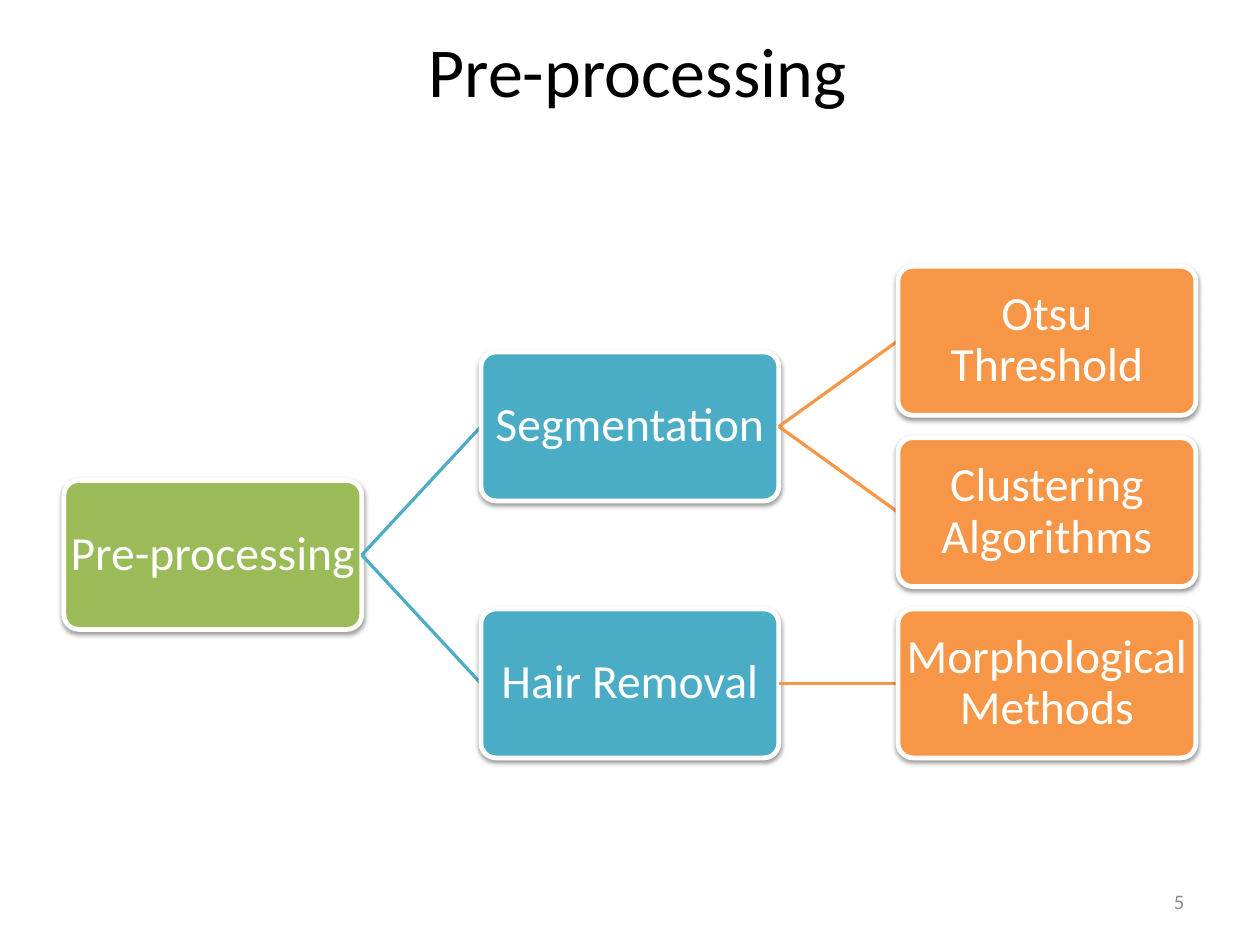
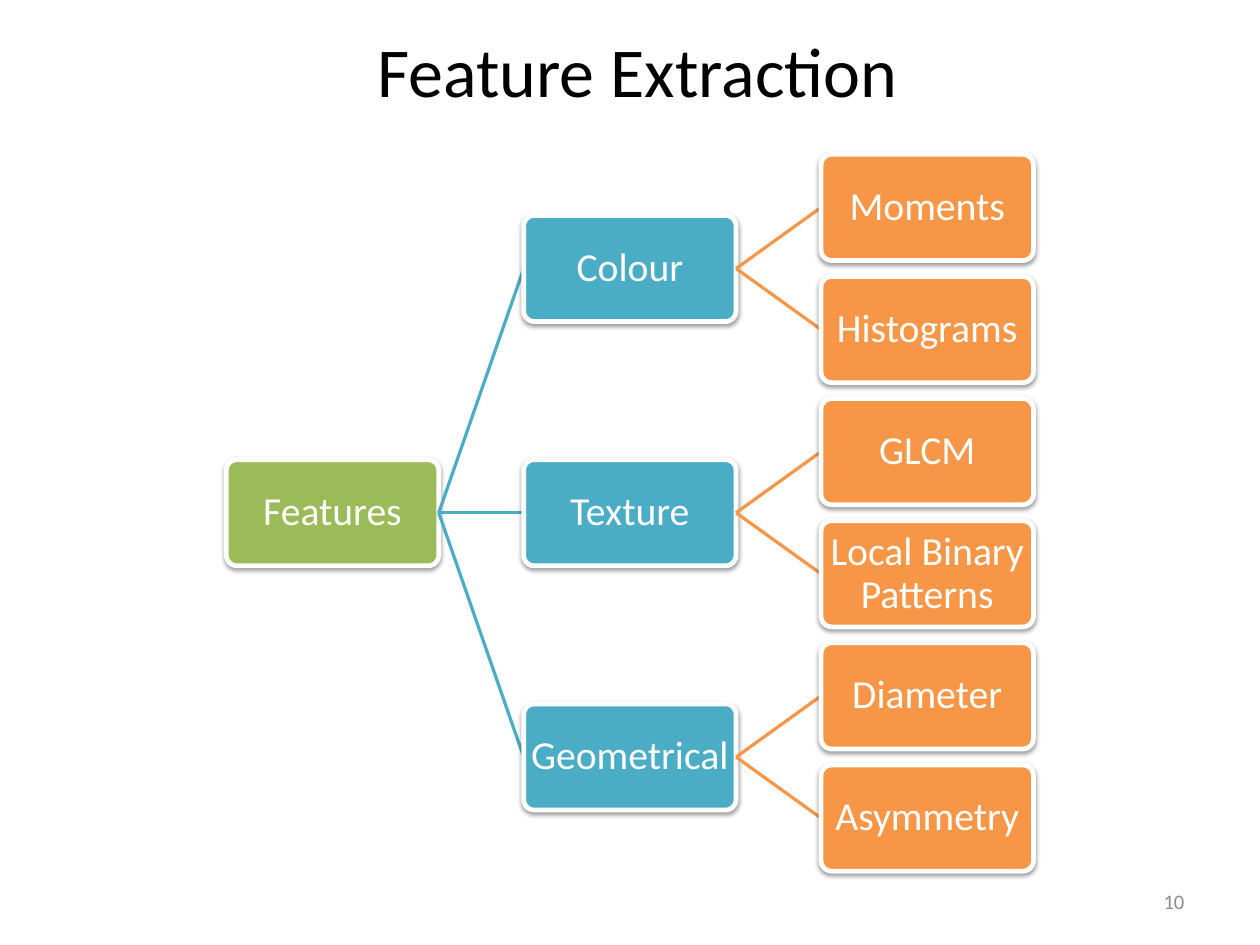
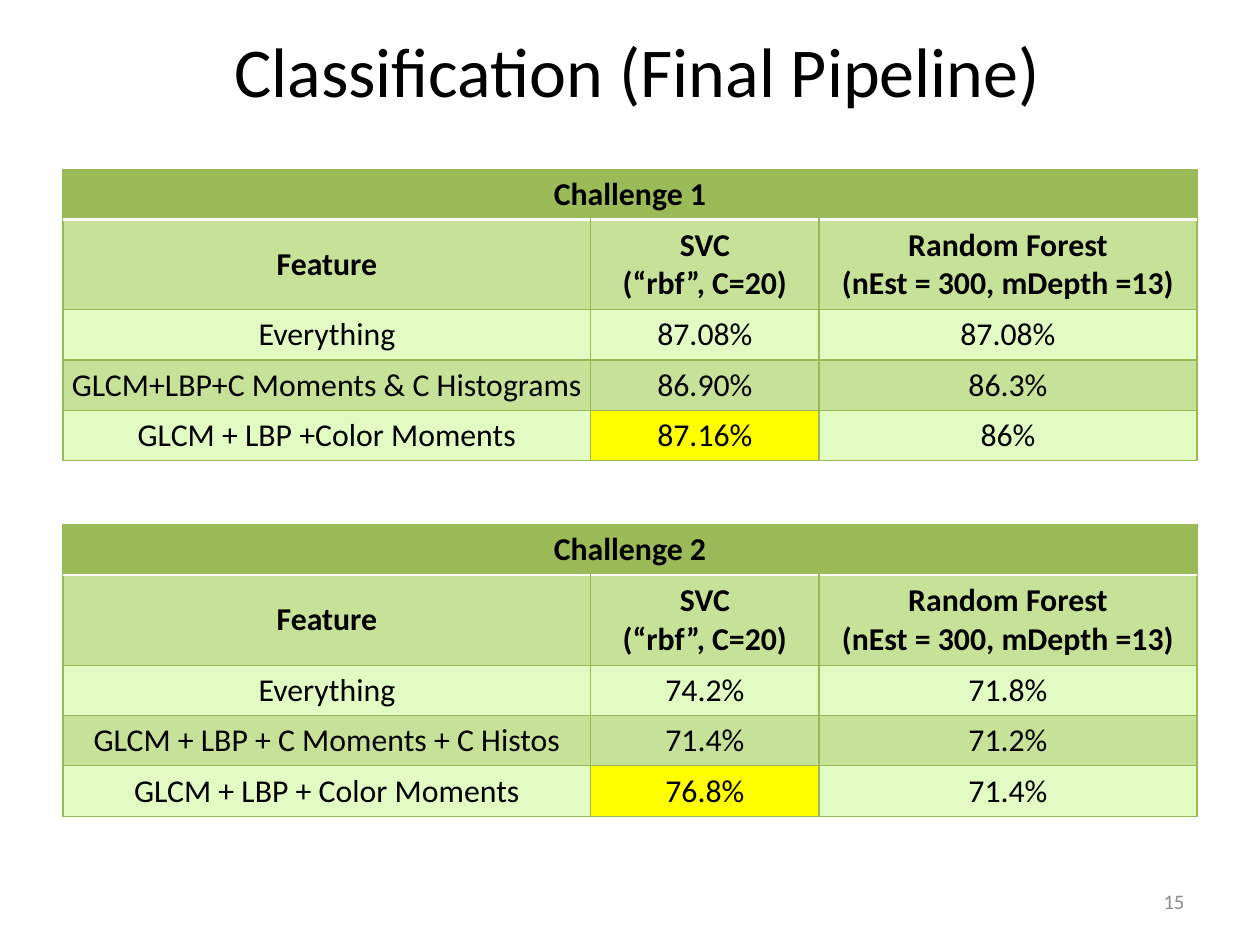
from dataclasses import dataclass
from itertools import count

from lxml import etree
from pptx import Presentation
from pptx.dml.color import RGBColor
from pptx.enum import shapes, text
from pptx.oxml import ns
from pptx.util import Cm, Pt

FONT = "Calibri"
BLACK = RGBColor(0x00, 0x00, 0x00)
WHITE = RGBColor(0xFF, 0xFF, 0xFF)
GREY = RGBColor(0x8C, 0x8C, 0x8C)
GREEN = RGBColor(0x9B, 0xBB, 0x59)
TEAL = RGBColor(0x4B, 0xAC, 0xC6)
ORANGE = RGBColor(0xF7, 0x96, 0x46)
BAND = RGBColor(0xC6, 0xE2, 0x98)
PALE = RGBColor(0xE2, 0xFB, 0xC2)
YELLOW = RGBColor(0xFF, 0xFF, 0x00)
BORDER = RGBColor(0x98, 0xB9, 0x55)
LEVEL_COLORS = (GREEN, TEAL, ORANGE)

COLUMN_WIDTHS = (11.73, 5.07, 8.4)
ROW_HEIGHTS = (1.12, 2, 1.12, 1.12, 1.12)
HEADINGS = ("Feature", "SVC\n(“rbf”, C=20)", "Random Forest\n(nEst = 300, mDepth =13)")


@dataclass
class Node:
    label: str
    children: tuple = ()
    row: float = 0

    def assign_rows(self, leaf_rows):
        for child in self.children:
            child.assign_rows(leaf_rows)
        if self.children:
            self.row = (self.children[0].row + self.children[-1].row) / 2
        else:
            self.row = next(leaf_rows)


def branch(label, *leaves):
    return Node(label, tuple(Node(leaf) for leaf in leaves))


def write(frame, content, size=20, color=BLACK, bold=False,
          align=text.PP_ALIGN.CENTER, spacing=1.0):
    frame.text = content
    for paragraph in frame.paragraphs:
        paragraph.alignment = align
        paragraph.line_spacing = spacing
        font = paragraph.runs[0].font
        font.name, font.size, font.bold = FONT, Pt(size), bold
        font.color.rgb = color


def set_margins(holder, across, down):
    holder.margin_left = holder.margin_right = Cm(across)
    holder.margin_top = holder.margin_bottom = Cm(down)


def add_xml(parent, tag, **attributes):
    return etree.SubElement(parent, ns.qn(tag), attributes)


def set_borders(cell, **sides):
    properties = cell._tc.get_or_add_tcPr()
    for index, side in enumerate("LRTB"):
        color, width = sides.get(side, (BORDER, 0.75))
        line = add_xml(properties, f"a:ln{side}", w=str(Pt(width)))
        add_xml(add_xml(line, "a:solidFill"), "a:srgbClr", val=str(color))
        properties.insert(index, line)


class Deck:
    def __init__(self):
        self.presentation = Presentation()
        self.presentation.slide_width = Cm(28)
        self.presentation.slide_height = Cm(21)
        self.slide = None

    def add_slide(self, title, number):
        self.slide = self.presentation.slides.add_slide(self.presentation.slide_layouts[6])
        self.add_text(title, 1.57, 0.51, 25.2, 2.08, size=44.1)
        self.add_text(str(number), 20.07, 19.46, 6.53, 1.12, size=13, color=GREY,
                      align=text.PP_ALIGN.RIGHT)

    def add_text(self, content, left, top, width, height, **style):
        box = self.slide.shapes.add_textbox(Cm(left), Cm(top), Cm(width), Cm(height))
        frame = box.text_frame
        frame.word_wrap = True
        frame.vertical_anchor = text.MSO_ANCHOR.MIDDLE
        set_margins(frame, 0.28, 0.14)
        write(frame, content, **style)

    def add_box(self, label, left, top, width, height, fill, size):
        box = self.slide.shapes.add_shape(shapes.MSO_SHAPE.ROUNDED_RECTANGLE,
                                          Cm(left), Cm(top), Cm(width), Cm(height))
        box.adjustments[0] = 0.1
        box.fill.solid()
        box.fill.fore_color.rgb = fill
        box.line.color.rgb = WHITE
        box.line.width = Pt(3)
        box.shadow.inherit = False
        effects = box._element.spPr.find(ns.qn("a:effectLst"))
        shadow = add_xml(effects, "a:outerShdw", blurRad=str(Pt(3.1)), dist=str(Pt(1.6)),
                         dir="5400000", rotWithShape="0")
        add_xml(add_xml(shadow, "a:srgbClr", val=str(BLACK)), "a:alpha", val="38000")
        frame = box.text_frame
        frame.word_wrap = True
        frame.vertical_anchor = text.MSO_ANCHOR.MIDDLE
        set_margins(frame, 0.03, 0.03)
        write(frame, label, size=size, color=WHITE, spacing=0.9)
        return box

    def add_link(self, parent, color):
        link = self.slide.shapes.add_connector(shapes.MSO_CONNECTOR.STRAIGHT, 0, 0, 0, 0)
        link.begin_connect(parent, 3)
        link.line.color.rgb = color
        link.line.width = Pt(2)
        add_xml(link._element.spPr, "a:effectLst")
        return link

    def add_tree(self, root, left, top, height, size):
        root.assign_rows(count())
        self.add_branch(root, 0, left, top, height, size)

    def add_branch(self, node, level, left, top, height, size, parent=None):
        color = LEVEL_COLORS[level]
        link = self.add_link(parent, color) if parent else None
        box = self.add_box(node.label, left, top + node.row * 1.15 * height,
                           2 * height, height, color, size)
        if link:
            link.end_connect(box, 1)
        for child in node.children:
            self.add_branch(child, level + 1, left + 2.8 * height, top, height, size, box)

    def add_results(self, title, top, results, best):
        rows = [(title, "", ""), HEADINGS, *results]
        table = self.slide.shapes.add_table(
            len(rows), len(COLUMN_WIDTHS), Cm(1.4), Cm(top),
            Cm(sum(COLUMN_WIDTHS)), Cm(sum(ROW_HEIGHTS))).table
        table.first_row = table.horz_banding = False
        for column, width in zip(table.columns, COLUMN_WIDTHS):
            column.width = Cm(width)
        for row, height in zip(table.rows, ROW_HEIGHTS):
            row.height = Cm(height)
        table.cell(0, 0).merge(table.cell(0, 2))
        for row, values in enumerate(rows):
            fill = GREEN if row == 0 else BAND if row % 2 else PALE
            rule = {0: {"B": (WHITE, 2)}, 1: {"T": (WHITE, 2)}}.get(row, {})
            for column, value in enumerate(values):
                cell = table.cell(row, column)
                cell.fill.solid()
                cell.fill.fore_color.rgb = YELLOW if (row, column) == best else fill
                set_borders(cell, **rule)
                set_margins(cell, 0.18, 0.13)
                cell.vertical_anchor = text.MSO_ANCHOR.MIDDLE
                if value:
                    write(cell.text_frame, value, bold=row < 2)


def main():
    deck = Deck()

    deck.add_slide("Pre-processing", 5)
    steps = Node("Pre-processing", (
        branch("Segmentation", "Otsu Threshold", "Clustering Algorithms"),
        branch("Hair Removal", "Morphological Methods"),
    ))
    deck.add_tree(steps, left=1.42, top=5.92, height=3.31, size=30)

    deck.add_slide("Feature Extraction", 10)
    features = Node("Features", (
        branch("Colour", "Moments", "Histograms"),
        branch("Texture", "GLCM", "Local Binary Patterns"),
        branch("Geometrical", "Diameter", "Asymmetry"),
    ))
    deck.add_tree(features, left=5.03, top=3.43, height=2.36, size=25)

    deck.add_slide("Classification (Final Pipeline)", 15)
    deck.add_results("Challenge 1", 3.76, [
        ("Everything", "87.08%", "87.08%"),
        ("GLCM+LBP+C Moments & C Histograms", "86.90%", "86.3%"),
        ("GLCM + LBP +Color Moments", "87.16%", "86%"),
    ], best=(4, 1))
    deck.add_results("Challenge 2", 11.66, [
        ("Everything", "74.2%", "71.8%"),
        ("GLCM + LBP + C Moments + C Histos", "71.4%", "71.2%"),
        ("GLCM + LBP + Color Moments", "76.8%", "71.4%"),
    ], best=(4, 1))

    deck.presentation.save("out.pptx")


if __name__ == "__main__":
    main()
